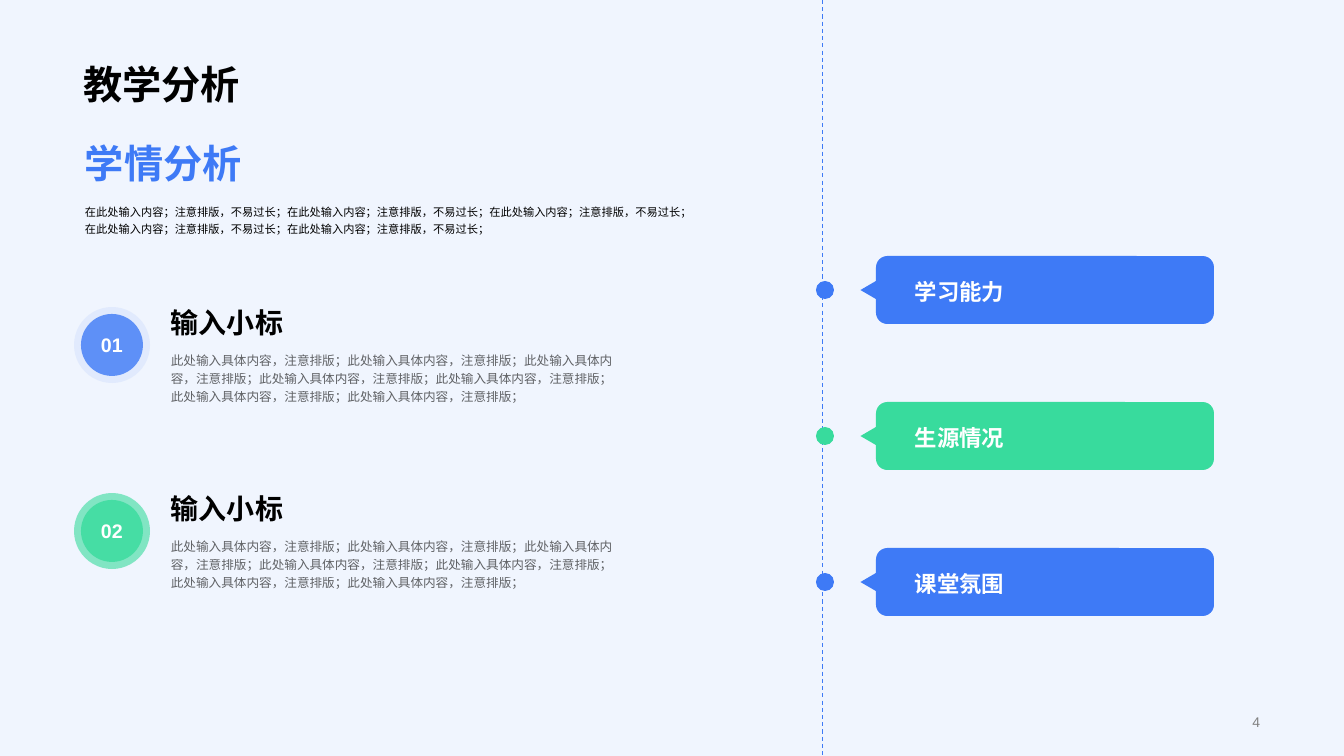
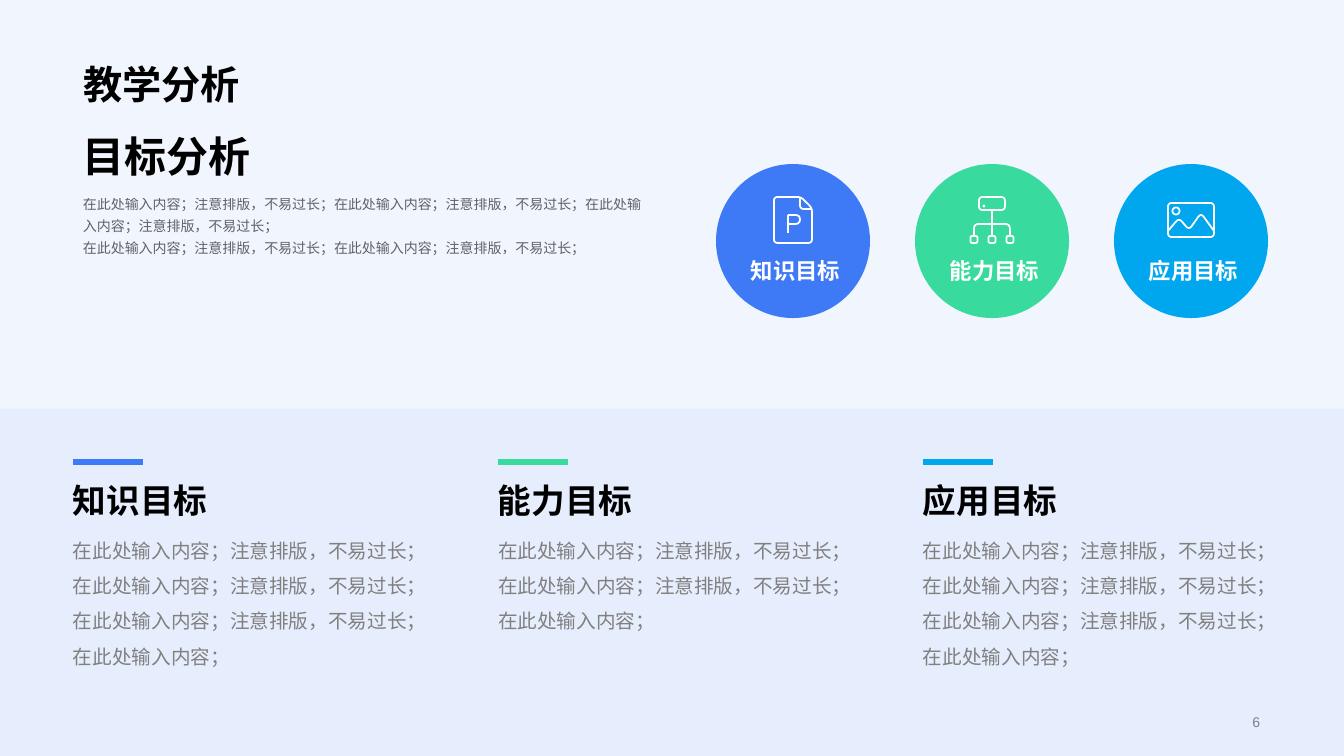
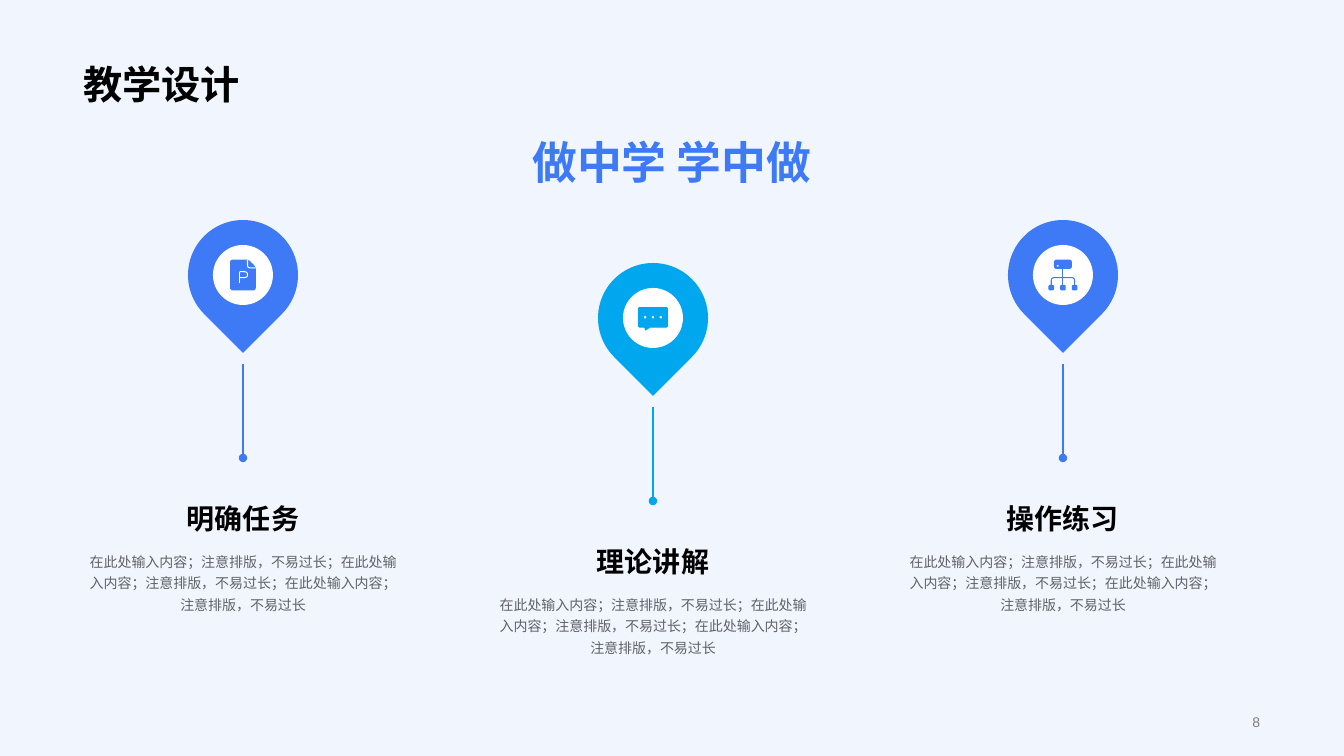
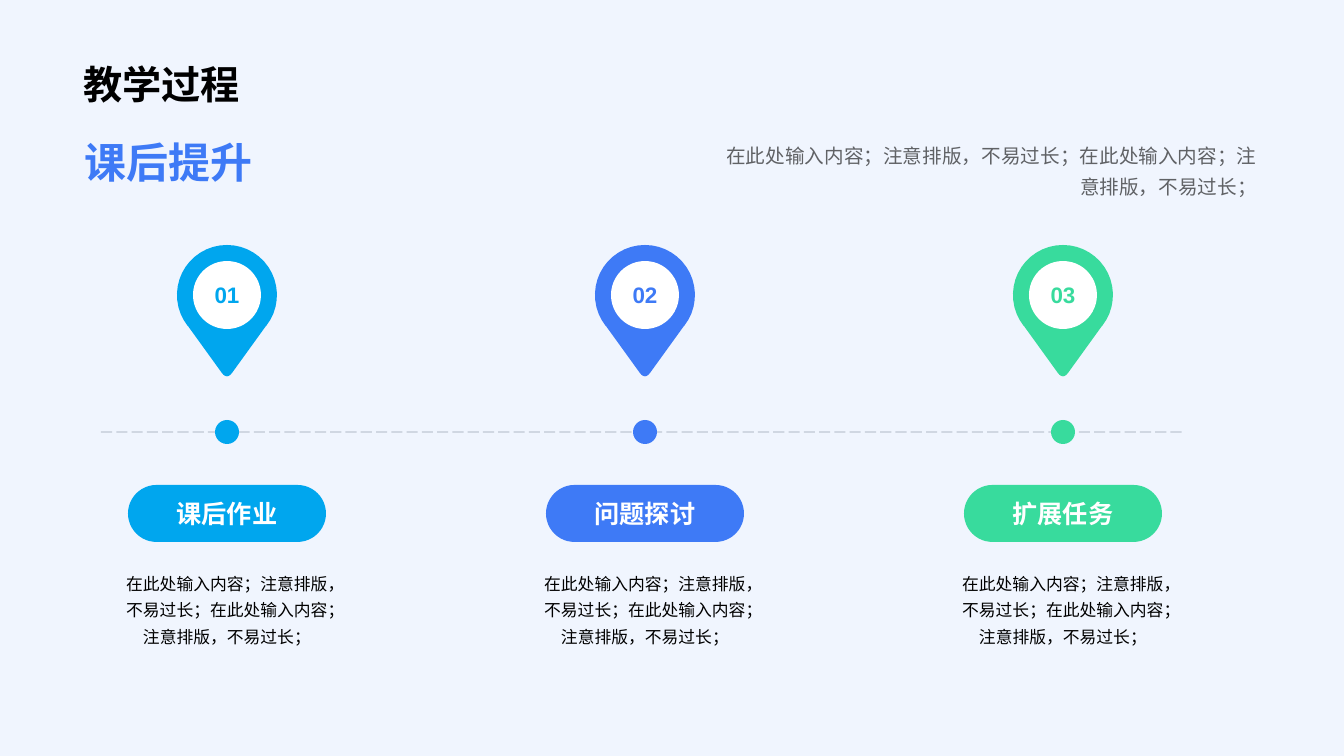
import math

import lxml.etree
import pptx
import pptx.dml.color
import pptx.enum.dml
import pptx.enum.shapes
import pptx.enum.text
import pptx.oxml.ns
import pptx.util

WIDTH, HEIGHT = 1344, 756
SCALE = 12192000 / WIDTH
FONT = "Arial"
BLUE, GREEN, CYAN = "3E7AF6", "38DB9D", "00A6EE"
BLACK, WHITE, GRAY, SLATE = "000000", "FFFFFF", "808080", "778495"
BACKGROUND, HALO = "F0F5FE", "D8E4FD"
SENTENCE = "在此处输入内容；注意排版，不易过长；"
SHORT_SENTENCE = "在此处输入内容；"
DETAIL_SENTENCE = "此处输入具体内容，注意排版；"

KIND = pptx.enum.shapes.MSO_SHAPE
ALIGN = pptx.enum.text.PP_ALIGN
ANCHOR = pptx.enum.text.MSO_ANCHOR
DASH = pptx.enum.dml.MSO_LINE


def px(length):
    return pptx.util.Emu(round(length * SCALE))


def rgb(hex_color):
    return pptx.dml.color.RGBColor.from_string(hex_color)


def add_xml(parent, tag, **attributes):
    return lxml.etree.SubElement(parent, pptx.oxml.ns.qn(tag), **attributes)


def set_opacity(element, percent):
    """Make every colour inside the element partly transparent."""
    if percent < 100:
        for color in element.iter(pptx.oxml.ns.qn("a:srgbClr")):
            add_xml(color, "a:alpha", val=str(percent * 1000))


def circle(x, y, radius, start=0, end=360):
    return [(x + radius * math.cos(math.radians(angle)),
             y + radius * math.sin(math.radians(angle)))
            for angle in range(start, end + 1, 8)]


def rounded(corners, radius, closed=False):
    """Replace the corners of a polyline with short curves."""
    points = []
    last = len(corners) - 1
    for i, corner in enumerate(corners):
        if not closed and i in (0, last):
            points.append(corner)
            continue
        neighbours = corners[i - 1], corners[(i + 1) % len(corners)]
        before, after = [
            tuple(c + (n - c) * min(0.5, radius / math.dist(corner, neighbour))
                  for c, n in zip(corner, neighbour))
            for neighbour in neighbours]
        for step in range(7):
            t = step / 6
            points.append(tuple(
                (1 - t) ** 2 * b + 2 * t * (1 - t) * c + t ** 2 * a
                for b, c, a in zip(before, corner, after)))
    return points + points[:1] if closed else points


def box(left, top, right, bottom, radius):
    corners = [(left, top), (right, top), (right, bottom), (left, bottom)]
    return rounded(corners, radius, closed=True)


def there_and_back(points):
    """Retrace a stroke, so that it encloses no area to fill."""
    return points + points[-2::-1]


# Each icon has a body and the details drawn on it, around its centre.
DOCUMENT = (
    [rounded([(-19, -23), (8, -23), (19, -12), (19, 23), (-19, 23)], 4, closed=True)],
    [[(-5, 13), (-5, -5)],
     rounded([(-5, -5), (7, -5), (7, 4), (-5, 4)], 5),
     rounded([(7, -23), (7, -11), (19, -11)], 4)],
)
TREE = (
    [box(-13, -23, 13, -10, 4), there_and_back([(0, -10), (0, 16)]),
     there_and_back(rounded([(-18, 16), (-18, 4), (18, 4), (18, 16)], 5))]
    + [box(x - 3.5, 16, x + 3.5, 23, 2) for x in (-18, 0, 18)],
    [circle(-8, -14, 0.5)],
)
PICTURE = (
    [box(-23, -17, 23, 17, 4)],
    [circle(-15, -9, 3.5),
     rounded([(-23, 11), (-12, -2), (-2, 10), (10, -7), (23, 11)], 5)],
)
CHAT = (
    [rounded([(-22, -16), (22, -16), (22, 14), (-5, 14), (-12, 19),
              (-12, 14), (-22, 14)], 2, closed=True)],
    [circle(x, -1, 1) for x in (-12, 0, 12)],
)
MAP_PIN = rounded([(39, 31), (0, 85), (-39, 31)], 9) + circle(0, 0, 50, 142, 398)


class Deck:
    def __init__(self):
        self.presentation = pptx.Presentation()
        self.presentation.slide_width = px(WIDTH)
        self.presentation.slide_height = px(HEIGHT)
        background = self.presentation.slide_master.background.fill
        background.solid()
        background.fore_color.rgb = rgb(BACKGROUND)
        self.layout = self.presentation.slide_layouts[5]
        heading = self.layout.placeholders[0]
        heading.left, heading.top = px(73), px(0)
        heading.width, heading.height = px(1198), px(113)
        self.slide = None

    def start(self, title, number=None):
        self.slide = self.presentation.slides.add_slide(self.layout)
        heading = self.slide.shapes.title
        heading.text_frame.auto_size = pptx.enum.text.MSO_AUTO_SIZE.NONE
        self.set_text(heading, title, 28, bold=True, anchor=ANCHOR.BOTTOM, spacing=0.9)
        if number:
            self.text(977, 710, 293, 24, number, 10, GRAY,
                      align=ALIGN.RIGHT, anchor=ANCHOR.MIDDLE)

    def set_text(self, holder, content, size, color=BLACK, bold=False, align=ALIGN.LEFT,
                 anchor=ANCHOR.TOP, spacing=1.0, opacity=100, inset=None):
        frame = holder.text_frame
        frame.word_wrap = True
        frame.vertical_anchor = anchor
        if inset is not None:
            frame.margin_left = frame.margin_right = px(inset)
            frame.margin_top = frame.margin_bottom = px(inset)
        frame.text = content
        for paragraph in frame.paragraphs:
            paragraph.alignment = align
            paragraph.line_spacing = spacing
            font = paragraph.font
            font.size = pptx.util.Pt(size)
            font.bold = bold
            font.color.rgb = rgb(color)
            font.name = FONT
            set_opacity(paragraph._p, opacity)

    def text(self, x, y, width, height, content, size, color=BLACK, **style):
        holder = self.slide.shapes.add_textbox(px(x), px(y), px(width), px(height))
        self.set_text(holder, content, size, color, **style)

    def paint(self, shape, color, opacity=100):
        shape.shadow.inherit = False
        shape.fill.solid()
        shape.fill.fore_color.rgb = rgb(color)
        shape.line.fill.background()
        set_opacity(shape._element.spPr, opacity)

    def shape(self, kind, x, y, width, height, color, opacity=100, rotation=0):
        shape = self.slide.shapes.add_shape(kind, px(x), px(y), px(width), px(height))
        self.paint(shape, color, opacity)
        shape.rotation = rotation
        return shape

    def label(self, shape, content, size, color=WHITE):
        self.set_text(shape, content, size, color, bold=True, align=ALIGN.CENTER,
                      anchor=ANCHOR.MIDDLE, inset=0)

    def line(self, x1, y1, x2, y2, color, weight, dash=None, opacity=100, dot_end=False):
        line = self.slide.shapes.add_connector(
            pptx.enum.shapes.MSO_CONNECTOR.STRAIGHT, px(x1), px(y1), px(x2), px(y2))
        line.line.color.rgb = rgb(color)
        line.line.width = pptx.util.Pt(weight)
        if dash:
            line.line.dash_style = dash
        properties = line._element.spPr
        if dot_end:
            add_xml(properties.find(pptx.oxml.ns.qn("a:ln")), "a:tailEnd", type="oval")
        add_xml(properties, "a:effectLst")
        set_opacity(properties, opacity)

    def outline(self, x, y, paths, scale=1.0):
        """Draw paths, given around the point x, y, as one freeform."""
        placed = [[(px(x + a * scale), px(y + b * scale)) for a, b in path]
                  for path in paths]
        builder = self.slide.shapes.build_freeform(*placed[0][0], scale=1.0)
        for i, path in enumerate(placed):
            if i:
                builder.move_to(*path[0])
            builder.add_line_segments(path[1:], close=False)
        return builder.convert_to_shape()

    def strokes(self, x, y, paths, color, weight, scale=1.0, fill=None):
        drawing = self.outline(x, y, paths, scale)
        self.paint(drawing, fill or color)
        if not fill:
            drawing.fill.background()
        drawing.line.color.rgb = rgb(color)
        drawing.line.width = pptx.util.Pt(weight)

    def line_icon(self, x, y, icon):
        body, details = icon
        self.strokes(x, y, body + details, WHITE, 1.25)

    def solid_icon(self, x, y, icon, color):
        body, details = icon
        self.strokes(x, y, body, color, 0.75, 0.65, fill=color)
        self.strokes(x, y, details, WHITE, 0.75, 0.65)

    def save(self):
        self.presentation.save("out.pptx")


def learner_analysis(deck):
    deck.start("教学分析", "4")
    deck.text(75, 196, 656, 43, f"{SENTENCE * 3}\n{SENTENCE * 2}", 8, spacing=1.3)
    deck.text(75, 134, 598, 57, "学情分析", 28, BLUE, bold=True, anchor=ANCHOR.BOTTOM)
    deck.line(823, 0, 823, HEIGHT, BLUE, 0.75, DASH.DASH)
    points = [("01", BLUE, HALO), ("02", GREEN, GREEN)]
    for i, (number, color, halo) in enumerate(points):
        top = 300 + 186 * i
        deck.shape(KIND.OVAL, 74, top + 7, 76, 76, halo, 60)
        badge = deck.shape(KIND.OVAL, 81, top + 14, 62, 62, color, 80)
        deck.label(badge, number, 14)
        deck.text(161, top, 161, 44, "输入小标", 20, bold=True, anchor=ANCHOR.BOTTOM)
        deck.text(161, top + 45, 472, 64, DETAIL_SENTENCE * 7, 9,
                  spacing=1.2, opacity=60)
    factors = [("学习能力", BLUE), ("生源情况", GREEN), ("课堂氛围", BLUE)]
    for i, (factor, color) in enumerate(factors):
        top = 256 + 146 * i
        deck.shape(KIND.ROUNDED_RECTANGLE, 876, top, 338, 68, color)
        deck.shape(KIND.ISOSCELES_TRIANGLE, 859, top + 25, 21, 18, color, rotation=270)
        deck.shape(KIND.OVAL, 816, top + 25, 18, 18, color)
        deck.text(905, top + 17, 249, 37, factor, 16, WHITE, bold=True)


def goal_analysis(deck):
    deck.start("教学分析", "6")
    deck.shape(KIND.RECTANGLE, 0, 409, WIDTH, 347, BLUE, 5)
    deck.text(73, 186, 587, 75, f"{SENTENCE * 3}\n{SENTENCE * 2}", 10,
              spacing=1.3, opacity=60)
    deck.text(73, 125, 431, 61, "目标分析", 30, bold=True, anchor=ANCHOR.BOTTOM)
    long_text = f"{SENTENCE * 3}\n{SHORT_SENTENCE}"
    goals = [
        ("知识目标", BLUE, DOCUMENT, long_text),
        ("能力目标", GREEN, TREE, SENTENCE * 2 + SHORT_SENTENCE),
        ("应用目标", CYAN, PICTURE, long_text),
    ]
    for i, (goal, color, icon, description) in enumerate(goals):
        center = 793 + 199 * i
        deck.shape(KIND.OVAL, center - 77, 164, 154, 154, color)
        deck.line_icon(center, 220, icon)
        deck.text(center - 62, 252, 129, 37, goal, 16, WHITE, bold=True,
                  align=ALIGN.CENTER)
        left = 73 + 425 * i
        deck.line(left, 462, left + 70, 462, color, 4)
        deck.text(left, 480, 200, 40, goal, 24, bold=True,
                  anchor=ANCHOR.BOTTOM, inset=0)
        deck.text(left, 527, 343, 138, description, 14, GRAY, spacing=1.5, inset=0)


def lesson_design(deck):
    deck.start("教学设计", "8")
    deck.text(73, 129, 1198, 65, "做中学 学中做", 32, BLUE, bold=True,
              align=ALIGN.CENTER, anchor=ANCHOR.MIDDLE)
    steps = [
        ("明确任务", BLUE, DOCUMENT, 220),
        ("理论讲解", CYAN, CHAT, 263),
        ("操作练习", BLUE, TREE, 220),
    ]
    for i, (step, color, icon, top) in enumerate(steps):
        center = 243 + 410 * i
        deck.shape(KIND.TEAR, center - 55, top, 110, 110, color, rotation=135)
        deck.shape(KIND.OVAL, center - 30, top + 25, 60, 60, WHITE)
        deck.solid_icon(center, top + 55, icon, color)
        deck.line(center, top + 144, center, top + 238, color, 2, dot_end=True)
        deck.text(center - 169, top + 263, 338, 70, step, 20, bold=True,
                  align=ALIGN.CENTER, anchor=ANCHOR.MIDDLE)
        deck.text(center - 169, top + 316, 338, 88, (SENTENCE * 3)[:-1], 10,
                  align=ALIGN.CENTER, spacing=1.3, opacity=60, inset=12)


def after_class(deck):
    deck.start("教学过程")
    deck.text(712, 125, 557, 83, SENTENCE * 2, 14, align=ALIGN.RIGHT,
              spacing=1.3, opacity=60, inset=12)
    deck.text(73, 125, 611, 75, "课后提升", 30, BLUE, bold=True, inset=12)
    deck.line(101, 432, 1185, 432, SLATE, 1, DASH.LONG_DASH, opacity=40)
    tasks = [("课后作业", CYAN), ("问题探讨", BLUE), ("扩展任务", GREEN)]
    for i, (task, color) in enumerate(tasks):
        center = 227 + 418 * i
        deck.paint(deck.outline(center, 295, [MAP_PIN]), color)
        badge = deck.shape(KIND.OVAL, center - 34, 261, 68, 68, WHITE)
        deck.label(badge, f"{i + 1:02}", 16, color)
        deck.shape(KIND.OVAL, center - 12, 420, 24, 24, color)
        pill = deck.shape(KIND.ROUNDED_RECTANGLE, center - 99, 485, 198, 57, color)
        pill.adjustments[0] = 0.5
        deck.label(pill, task, 18)
        deck.text(center - 116, 556, 232, 101, SENTENCE * 2, 12,
                  align=ALIGN.CENTER, spacing=1.3, inset=12)


def main():
    deck = Deck()
    for build in (learner_analysis, goal_analysis, lesson_design, after_class):
        build(deck)
    deck.save()


if __name__ == "__main__":
    main()
